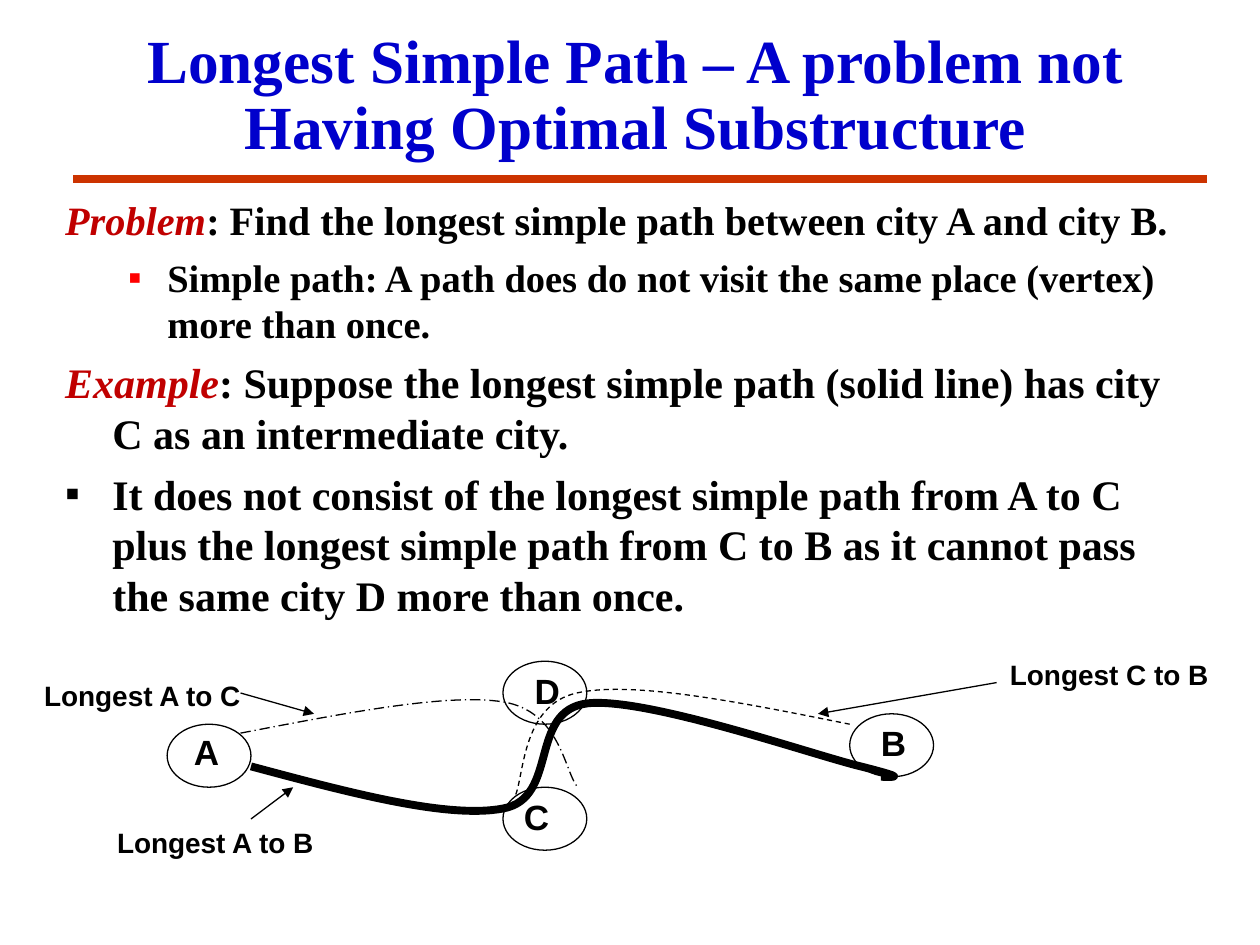
from lxml import etree
from pptx import Presentation
from pptx import util as u
from pptx.dml.color import RGBColor
from pptx.enum import dml, shapes, text
from pptx.oxml import ns

# Content; all places and lengths are in cm
HUES = {"title": "0000CC", "rule": "CC3300", "key": "C00000",
        "mark": "FF0000", "ink": "000000"}
TITLE = "Longest Simple Path – A problem not Having Optimal Substructure"

# level, left margin, hanging indent, bullet hue, size, key word, rest
BODY = [
    (0, 0.95, -0.95, None, 23, "Problem",
     ": Find the longest simple path between city A and city B."),
    (1, 2.06, -0.79, "mark", 22, "",
     "Simple path: A path does do not visit the same place (vertex) more than once."),
    (0, 0.95, -0.95, None, 24, "Example",
     ": Suppose the longest simple path (solid line) has city C as an intermediate city."),
    (0, 0.95, -0.95, "ink", 24, "",
     "It does not consist of the longest simple path from A to C plus the longest "
     "simple path from C to B as it cannot pass the same city D more than once."),
]

# city name, left top of its oval, left top of its letter
CITIES = [
    ("A", (3.37, 14.6), (3.66, 14.61)),
    ("B", (17.13, 14.39), (17.51, 14.43)),
    ("C", (10.14, 15.87), (10.31, 15.91)),
    ("D", (10.14, 13.33), (10.53, 13.37)),
]

# width, dash, start and Bezier points (three for each further stretch)
ROUTES = [
    (0.75, dml.MSO_LINE.DASH,
     [(17.13, 14.6), (14.94, 14.16), (12.75, 13.72), (11.63, 13.97),
      (10.49, 14.22), (10.57, 15.72), (10.37, 16.08)]),
    (0.75, dml.MSO_LINE.LONG_DASH_DOT,
     [(4.85, 14.78), (6.93, 14.38), (9.02, 13.97), (10.14, 14.15),
      (11.28, 14.33), (11.38, 15.52), (11.63, 15.85)]),
    (4.5, None,
     [(5.06, 15.45), (7.04, 15.98), (9.02, 16.51), (10.14, 16.3),
      (11.28, 16.09), (10.64, 14.33), (11.84, 14.18),
      (13.03, 14.05), (16.36, 15.21), (17.35, 15.45),
      (18.33, 15.7), (18.03, 15.66), (17.76, 15.66)]),
]

# wording, left top, arrow start, arrow tip
NOTES = [
    ("Longest A to B", (2.11, 16.51), (5.06, 16.51), (5.91, 15.87)),
    ("Longest C to B", (20.11, 13.13), (20.09, 13.76), (16.49, 14.39)),
    ("Longest A to C", (0.64, 13.55), (4.85, 13.97), (6.33, 14.39)),
]


def cm(*vals):
    return [u.Cm(v) for v in vals]


def put(obj, **vals):
    for key, val in vals.items():
        setattr(obj, key, val)


def hue(name):
    return RGBColor.from_string(HUES[name])


def write(par, words, size, face="Times New Roman", tint="ink", **more):
    run = par.add_run()
    run.text = words
    put(run.font, size=u.Pt(size), name=face, bold=True, **more)
    run.font.color.rgb = hue(tint)


def stroke(line, width=0.75, tint="ink", dash=None):
    line.color.rgb = hue(tint)
    put(line, width=u.Pt(width), dash_style=dash)


def link(home, start, end, tip=False, **look):
    line = home.add_connector(
        shapes.MSO_CONNECTOR.STRAIGHT, *cm(*start, *end))
    stroke(line.line, **look)
    if tip:
        etree.SubElement(line.line._get_or_add_ln(),
                         ns.qn("a:tailEnd"), type="triangle")
    etree.SubElement(line._element.spPr, ns.qn("a:effectLst"))


def label(home, words, spot, size, area):
    frame = home.add_textbox(*cm(*spot, *area)).text_frame
    put(frame, word_wrap=False, auto_size=text.MSO_AUTO_SIZE.SHAPE_TO_FIT_TEXT)
    write(frame.paragraphs[0], words, size, "Arial")


def bullet(par, left, hang, tint):
    props = par._p.get_or_add_pPr()
    props.set("marL", str(u.Cm(left)))
    props.set("indent", str(u.Cm(hang)))
    if tint:
        paint = etree.SubElement(props, ns.qn("a:buClr"))
        etree.SubElement(paint, ns.qn("a:srgbClr"), val=HUES[tint])
        etree.SubElement(props, ns.qn("a:buChar"), char="▪")
    else:
        etree.SubElement(props, ns.qn("a:buNone"))


def curve(home, pts):
    """Draw a chain of cubic Bezier stretches."""
    first, *others = [cm(*p) for p in pts]
    pen = home.build_freeform(*first, scale=1.0)
    pen.add_line_segments(others, close=False)
    shape = pen.convert_to_shape()
    legs = list(shape._element.iter(ns.qn("a:lnTo")))
    for i in range(0, len(legs), 3):
        bend = etree.Element(ns.qn("a:cubicBezTo"))
        legs[i].addprevious(bend)
        for leg in legs[i:i + 3]:
            bend.append(leg[0])
            leg.getparent().remove(leg)
    return shape


def hollow(shape, **look):
    shape.shadow.inherit = False
    shape.fill.background()
    stroke(shape.line, **look)


def place(holder, *box):
    put(holder, **dict(zip(("left", "top", "width", "height"), cm(*box))))
    put(holder.text_frame, word_wrap=True, auto_size=text.MSO_AUTO_SIZE.NONE)
    return holder.text_frame


deck = Presentation()
put(deck, slide_width=u.Cm(25.4), slide_height=u.Cm(19.05))
slide = deck.slides.add_slide(deck.slide_layouts[1])

# Title and rule
frame = place(slide.shapes.title, 1.27, 0.52, 23.09, 2.87)
frame.vertical_anchor = text.MSO_ANCHOR.MIDDLE
put(frame.paragraphs[0], alignment=text.PP_ALIGN.CENTER, line_spacing=0.9)
write(frame.paragraphs[0], TITLE, 35, tint="title")
link(slide.shapes, (1.48, 3.6), (24.34, 3.6), width=4.5, tint="rule")

# Body list
frame = place(slide.placeholders[1], 1.06, 3.81, 23.29, 9.09)
frame.vertical_anchor = text.MSO_ANCHOR.TOP
for i, (level, left, hang, mark, size, key, rest) in enumerate(BODY):
    par = frame.add_paragraph() if i else frame.paragraphs[0]
    put(par, level=level, space_before=u.Pt(6))
    bullet(par, left, hang, mark)
    if key:
        write(par, key, size, tint="key", italic=True)
    write(par, rest, size)

# Map of the cities
chart = slide.shapes.add_group_shape().shapes
for name, spot, inner in CITIES:
    hollow(chart.add_shape(shapes.MSO_SHAPE.OVAL, *cm(*spot, 1.69, 1.27)))
    label(chart, name, inner, 20, (1.02, 1.12))

# Routes
for width, dash, pts in ROUTES:
    hollow(curve(chart, pts), width=width, dash=dash)

# Notes with arrows
for words, spot, start, tip in NOTES:
    link(chart, start, tip, tip=True)
    label(chart, words, spot, 16, (4.52, 0.94))

deck.save("out.pptx")
